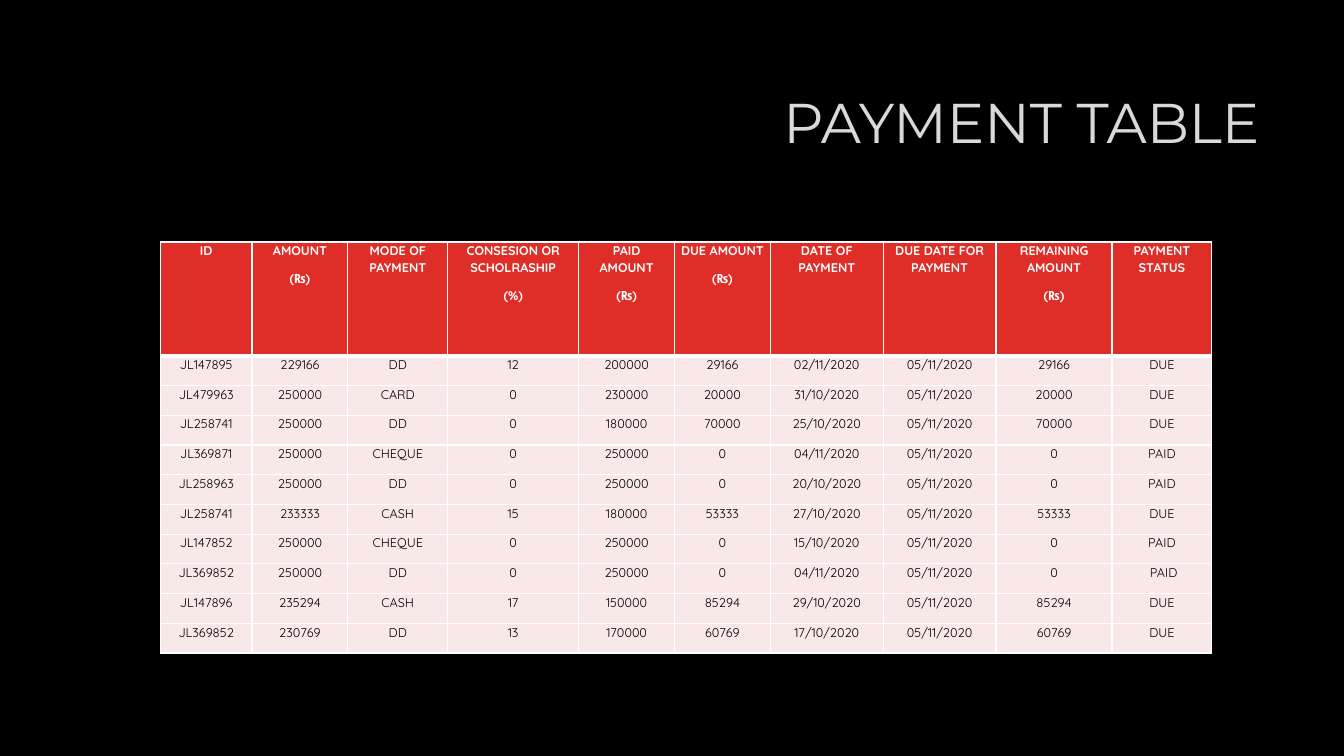
from dataclasses import dataclass

from lxml.etree import SubElement
from pptx import Presentation
from pptx.dml.color import RGBColor
from pptx.enum.text import MSO_ANCHOR as Anchor, PP_ALIGN as Align
from pptx.oxml import parse_xml
from pptx.oxml.ns import nsdecls, qn
from pptx.util import Inches, Pt


@dataclass(frozen=True)
class Theme:
    back: str = "000000"
    title: str = "D9D9D9"
    header: str = "DF2E28"
    body: str = "F9E8E8"
    ink: str = "000000"
    white: str = "FFFFFF"
    title_font: str = "Montserrat"
    table_font: str = "Quicksand"
    title_size: float = 40
    table_size: float = 9
    outline: float = 0.75
    border: float = 1
    header_border: float = 3


HEADERS = [
    "ID", "AMOUNT\n(₨)", "MODE OF PAYMENT", "CONSESION OR SCHOLRASHIP\n(%)",
    "PAID AMOUNT\n(₨)", "DUE AMOUNT\n(₨)", "DATE OF PAYMENT",
    "DUE DATE FOR PAYMENT", "REMAINING AMOUNT\n(₨)", "PAYMENT STATUS",
]
DUE_DATE = "05/11/2020"
PAYMENTS = [
    ("JL147895", "229166", "DD", "12", "200000", "29166", "02/11/2020", "DUE"),
    ("JL479963", "250000", "CARD", "0", "230000", "20000", "31/10/2020", "DUE"),
    ("JL258741", "250000", "DD", "0", "180000", "70000", "25/10/2020", "DUE"),
    ("JL369871", "250000", "CHEQUE", "0", "250000", "0", "04/11/2020", "PAID"),
    ("JL258963", "250000", "DD", "0", "250000", "0", "20/10/2020", "PAID"),
    ("JL258741", "233333", "CASH", "15", "180000", "53333", "27/10/2020", "DUE"),
    ("JL147852", "250000", "CHEQUE", "0", "250000", "0", "15/10/2020", "PAID"),
    ("JL369852", "250000", "DD", "0", "250000", "0", "04/11/2020", " PAID"),
    ("JL147896", "235294", "CASH", "17", "150000", "85294", "29/10/2020", "DUE"),
    ("JL369852", "230769", "DD", "13", "170000", "60769", "17/10/2020", "DUE"),
]
COL_WIDTHS = [0.91, 0.95, 0.99, 1.3, 0.95, 0.95, 1.12, 1.12, 1.15, 0.99]
TABLE_HEIGHT = 4.08
HEADER_HEIGHT = 1.13


def set_all(obj, values):
    for name, value in values.items():
        setattr(obj, name, value)


def line_xml(tag, color, width):
    return parse_xml(
        f'<a:{tag} {nsdecls("a")} w="{Pt(width)}"><a:solidFill>'
        f'<a:srgbClr val="{color}"/></a:solidFill></a:{tag}>')


class Deck:
    def __init__(self, prs, theme):
        self.theme = theme
        self.s = prs.slides.add_slide(prs.slide_layouts[6])
        fill = self.s.background.fill
        fill.solid()
        fill.fore_color.rgb = RGBColor.from_string(theme.back)

    def fill_text(self, tf, text, color, para, font):
        tf.text = text
        for p in tf.paragraphs:
            set_all(p, para)
            for r in p.runs:
                set_all(r.font, font)
                r.font.color.rgb = RGBColor.from_string(color)

    def title(self, text, x, y, w, h):
        t = self.theme
        box = self.s.shapes.add_textbox(Inches(x), Inches(y), Inches(w), Inches(h))
        tf = box.text_frame
        set_all(tf, {"word_wrap": True, "vertical_anchor": Anchor.MIDDLE,
                     "margin_bottom": Inches(0.66)})
        self.fill_text(tf, text, t.title, {"alignment": Align.RIGHT, "line_spacing": 0.9},
                       {"name": t.title_font, "size": Pt(t.title_size)})
        r = tf.paragraphs[0].runs[0]
        r._r.get_or_add_rPr().insert(0, line_xml("ln", t.white, t.outline))

    def cell(self, cell, text, is_header):
        t = self.theme
        set_all(cell, {"margin_left": Inches(0.06), "margin_right": Inches(0.06),
                       "margin_top": 0, "margin_bottom": 0})
        self.fill_text(cell.text_frame, text, t.white if is_header else t.ink,
                       {"alignment": Align.CENTER, "line_spacing": 1.07, "space_after": Pt(8)},
                       {"name": t.table_font, "size": Pt(t.table_size), "bold": is_header})
        pr = cell._tc.get_or_add_tcPr()
        for tag in ("lnL", "lnR", "lnT", "lnB"):
            heavy = is_header and tag == "lnB"
            pr.append(line_xml(tag, t.white, t.header_border if heavy else t.border))
        fill = SubElement(pr, qn("a:solidFill"))
        SubElement(fill, qn("a:srgbClr"), val=t.header if is_header else t.body)

    def table(self, rows, x, y, widths, height, header_height):
        frame = self.s.shapes.add_table(len(rows), len(widths), Inches(x), Inches(y),
                                        Inches(sum(widths)), Inches(height))
        table = frame.table
        table.horz_banding = False
        for col, width in zip(table.columns, widths):
            col.width = Inches(width)
        body_height = (height - header_height) / (len(rows) - 1)
        for i, values in enumerate(rows):
            table.rows[i].height = Inches(body_height if i else header_height)
            for j, text in enumerate(values):
                self.cell(table.cell(i, j), text, i == 0)


def main():
    prs = Presentation()
    set_all(prs, {"slide_width": Inches(13.33), "slide_height": Inches(7.5)})
    deck = Deck(prs, Theme())
    deck.title("PAYMENT TABLE", 3.17, 0.84, 9.42, 1.41)
    rows = [HEADERS] + [(*row[:7], DUE_DATE, row[5], row[7]) for row in PAYMENTS]
    deck.table(rows, 1.59, 2.4, COL_WIDTHS, TABLE_HEIGHT, HEADER_HEIGHT)
    prs.save("out.pptx")


if __name__ == "__main__":
    main()
